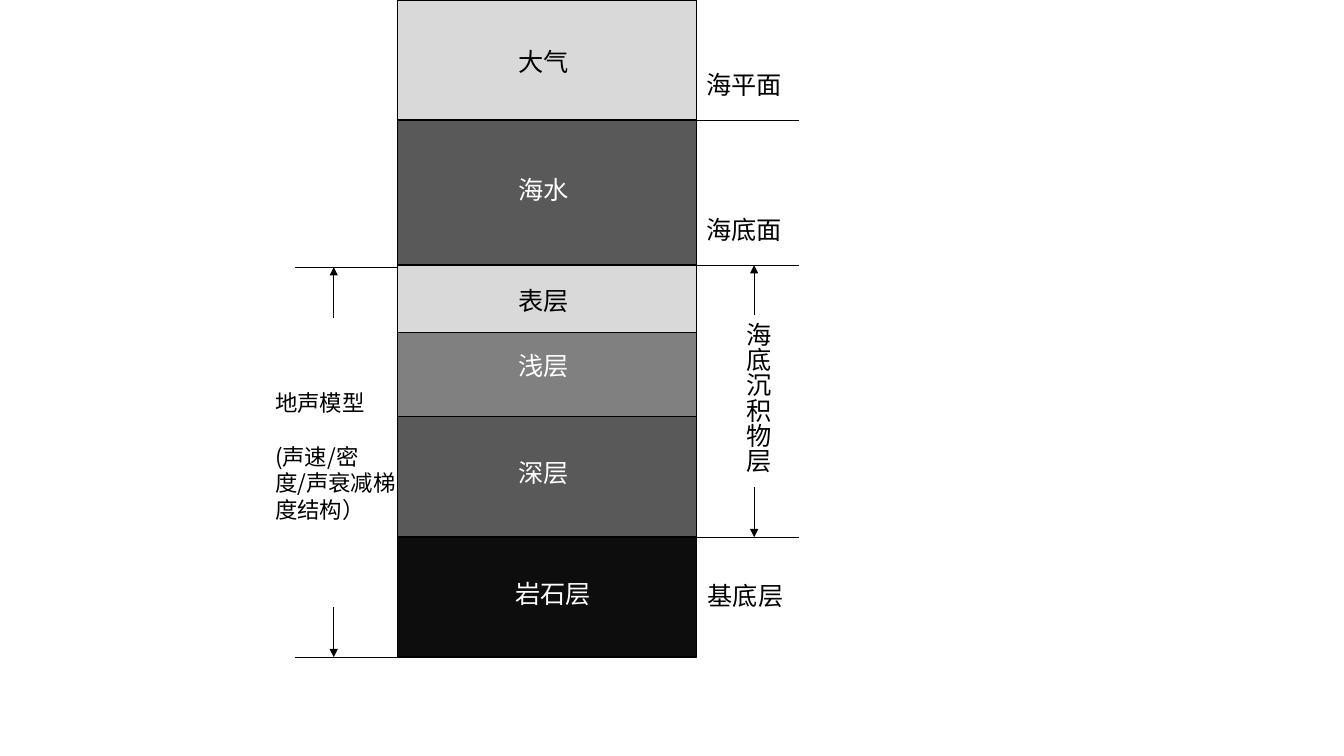
import pptx
import pptx.dml.color
import pptx.enum.shapes
import pptx.enum.text
import pptx.oxml
import pptx.oxml.ns
import pptx.util

PX = 9144
BLACK, WHITE = "000000", "FFFFFF"


def color(value):
    return pptx.dml.color.RGBColor.from_string(value)


def apply(target, formats):
    for name, value in formats.items():
        setattr(target, name, value)


class Diagram:
    """Draw styled elements on the current slide, with lengths in px."""

    def __init__(self, slide, font):
        self.s = slide
        self.font = font

    def emu(self, *lengths):
        return [n * PX for n in lengths]

    def outline(self, line, width):
        line.color.rgb = color(BLACK)
        line.width = pptx.util.Pt(width)

    def rect(self, x, y, w, h, fill):
        kind = pptx.enum.shapes.MSO_SHAPE.RECTANGLE
        sp = self.s.shapes.add_shape(kind, *self.emu(x, y, w, h))
        sp.shadow.inherit = False
        sp.fill.solid()
        sp.fill.fore_color.rgb = color(fill)
        self.outline(sp.line, 1)

    def line(self, x1, y1, x2, y2, arrow=False):
        kind = pptx.enum.shapes.MSO_CONNECTOR.STRAIGHT
        c = self.s.shapes.add_connector(kind, *self.emu(x1, y1, x2, y2))
        self.outline(c.line, 0.5)
        if arrow:
            tail = pptx.oxml.parse_xml(
                f'<a:tailEnd {pptx.oxml.ns.nsdecls("a")} type="triangle"/>')
            c.line._get_or_add_ln().append(tail)
        c._element.spPr.append(pptx.oxml.parse_xml(
            f'<a:effectLst {pptx.oxml.ns.nsdecls("a")}/>'))

    def text(self, x, y, w, h, paragraphs, ink=BLACK, size=18,
             vertical=False, spacing=None):
        sp = self.s.shapes.add_textbox(*self.emu(x, y, w, h))
        tf = sp.text_frame
        anchor = pptx.enum.text.MSO_ANCHOR
        apply(tf, {
            "word_wrap": True,
            "vertical_anchor": anchor.TOP if vertical else anchor.MIDDLE,
        })
        if vertical:
            tf._txBody.bodyPr.set("vert", "eaVert")
        for i, content in enumerate(paragraphs):
            p = tf.add_paragraph() if i else tf.paragraphs[0]
            if spacing:
                apply(p, {"line_spacing": pptx.util.Pt(spacing),
                          "space_before": pptx.util.Pt(spacing if i else 0)})
            r = p.add_run()
            r.text = content
            apply(r.font, {"name": self.font, "size": pptx.util.Pt(size)})
            r.font.color.rgb = color(ink)
            ea = pptx.oxml.parse_xml(
                f'<a:ea {pptx.oxml.ns.nsdecls("a")} typeface="{self.font}"/>')
            r.font._element.find(pptx.oxml.ns.qn("a:latin")).addnext(ea)


def main():
    prs = pptx.Presentation()
    apply(prs, {"slide_width": 1333 * PX, "slide_height": 750 * PX})
    d = Diagram(prs.slides.add_slide(prs.slide_layouts[6]), "Noto Sans CJK SC")

    left, width = 394, 297
    right = left + width
    layers = [
        ("大气", 119, "D9D9D9", BLACK, 504, 41),
        ("海水", 144, "595959", WHITE, 504, 168),
        ("表层", 67, "D9D9D9", BLACK, 504, 278),
        ("浅层", 83, "808080", WHITE, 504, 343),
        ("深层", 120, "595959", WHITE, 504, 449),
        ("岩石层", 119, "0D0D0D", WHITE, 501, 569),
    ]
    top = 0
    for name, height, fill, ink, label_x, label_y in layers:
        d.rect(left, top, width, height, fill)
        d.text(label_x, label_y, 163, 40, [name], ink)
        top += height

    for name, x, y in [("海平面", 691, 64), ("海底面", 691, 208),
                       ("基底层", 692, 571)]:
        d.text(x, y, 113, 40, [name])

    sea_level, seabed, basement, model_top, bottom = 119, 263, 533, 265, top
    for y in (sea_level, seabed, basement):
        d.line(right, y, right + 101, y)
    for y in (model_top, bottom):
        d.line(left - 101, y, left, y)

    for x, start, end in [(748, seabed, basement), (331, model_top, bottom)]:
        d.line(x, start + 50, x, start, arrow=True)
        d.line(x, end - 50, x, end, arrow=True)

    d.text(722, 310, 50, 179, ["海底沉积物层"], vertical=True)
    d.text(263, 380, 147, 145, ["地声模型", "(声速/密度/声衰减梯度结构）"],
           size=16, spacing=19.2)

    prs.save("out.pptx")


if __name__ == "__main__":
    main()
